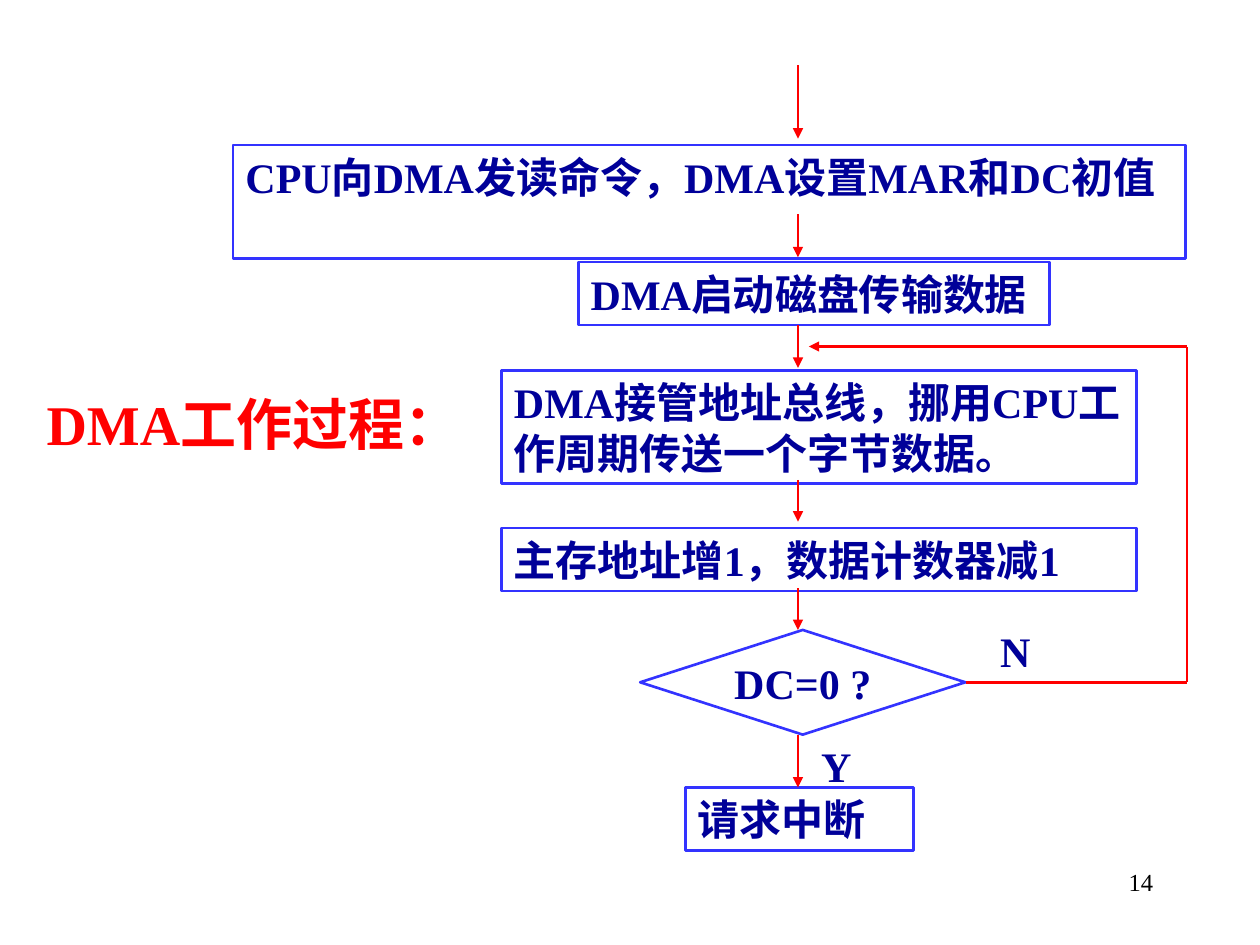
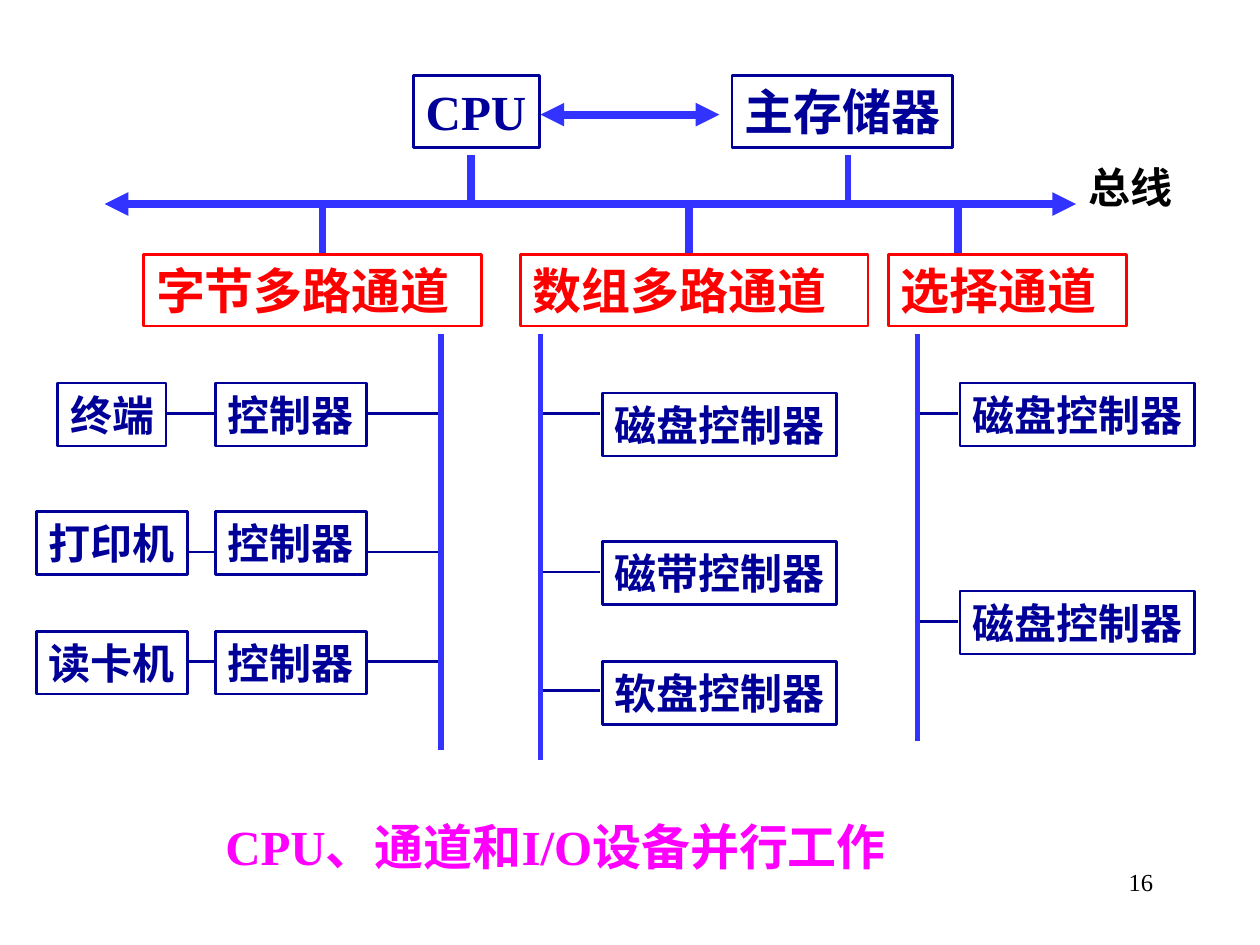
from dataclasses import dataclass

from lxml import etree
from pptx import Presentation
from pptx.dml.color import RGBColor
from pptx.enum.shapes import MSO_CONNECTOR, MSO_SHAPE
from pptx.enum.text import MSO_ANCHOR, MSO_AUTO_SIZE, PP_ALIGN
from pptx.oxml.ns import qn
from pptx.slide import Slide
from pptx.text.text import TextFrame
from pptx.util import Pt

FONT = "Times New Roman"
COLORS = {
    "white": "FFFFFF",
    "black": "000000",
    "navy": "000099",
    "blue": "3333FF",
    "red": "FF0000",
    "magenta": "FF00FF",
}
TITLE_ONLY, BLANK = 5, 6
THIN, MEDIUM, THICK = 1.5, 3, 4.5
LINE_HEIGHT = 36
LARGE_HEIGHT = 41


@dataclass
class Label:
    """Text with its place in points; an outline turns it into a filled box."""
    text: str
    left: float
    top: float
    width: float
    height: float = LINE_HEIGHT
    size: int = 24
    color: str = "navy"
    outline: str | None = None
    wrap: bool = False
    bold: bool = True
    align: PP_ALIGN = PP_ALIGN.LEFT
    preset: MSO_SHAPE = MSO_SHAPE.RECTANGLE


@dataclass
class Line:
    x1: float
    y1: float
    x2: float
    y2: float
    color: str = "red"
    width: float = THIN
    ends: tuple[str, ...] = ()


@dataclass
class Channel:
    """A channel box, its drop from the bus and the rail below it."""
    name: str
    left: float
    width: float
    drop_x: float
    rail_x: float
    rail_bottom: float


@dataclass
class Unit:
    """A box in a row, with the height of the wire that reaches it."""
    name: str
    top: float
    wire_y: float


def rgb(name: str) -> RGBColor:
    return RGBColor.from_string(COLORS[name])


def format_text(frame: TextFrame, label: Label) -> None:
    frame.text = label.text
    frame.word_wrap = label.wrap
    frame.auto_size = MSO_AUTO_SIZE.NONE
    frame.vertical_anchor = MSO_ANCHOR.TOP
    para = frame.paragraphs[0]
    para.alignment = label.align
    for span in para.runs:
        span.font.name = FONT
        span.font.size = Pt(label.size)
        span.font.bold = label.bold
        span.font.color.rgb = rgb(label.color)


def add_label(page: Slide, label: Label) -> None:
    place = [Pt(v) for v in (label.left, label.top, label.width, label.height)]
    if label.outline:
        box = page.shapes.add_shape(label.preset, *place)
        box.shadow.inherit = False
        box.fill.solid()
        box.fill.fore_color.rgb = rgb("white")
        box.line.color.rgb = rgb(label.outline)
        box.line.width = Pt(THIN)
    else:
        box = page.shapes.add_textbox(*place)
    format_text(box.text_frame, label)
    if label.preset == MSO_SHAPE.FLOWCHART_DECISION:
        box.text_frame.vertical_anchor = MSO_ANCHOR.MIDDLE


def add_line(page: Slide, line: Line) -> None:
    connector = page.shapes.add_connector(
        MSO_CONNECTOR.STRAIGHT, Pt(line.x1), Pt(line.y1), Pt(line.x2), Pt(line.y2))
    connector.line.color.rgb = rgb(line.color)
    connector.line.width = Pt(line.width)
    outline = connector.line._get_or_add_ln()
    for end in line.ends:
        etree.SubElement(outline, qn(f"a:{end}"), type="triangle")
    etree.SubElement(connector._element.spPr, qn("a:effectLst"))


def add_page_number(page: Slide, number: int) -> None:
    add_label(page, Label(str(number), 516.2, 491.8, 149.8, size=14, color="black",
                          bold=False, wrap=True, align=PP_ALIGN.RIGHT))


def build_dma_flow(deck: Presentation) -> None:
    page = deck.slides.add_slide(deck.slide_layouts[TITLE_ONLY])
    heading = Label("DMA工作过程：", 19.4, 218.9, 277.9, 46, size=32, color="red", wrap=True)
    title = page.shapes.title
    title.left, title.top = Pt(heading.left), Pt(heading.top)
    title.width, title.height = Pt(heading.width), Pt(heading.height)
    format_text(title.text_frame, heading)
    add_page_number(page, 14)

    two_lines = 64.8
    steps = [
        Label("CPU向DMA发读命令，DMA设置MAR和DC初值", 133.2, 82.8, 544.3, two_lines, wrap=True),
        Label("DMA启动磁盘传输数据", 330.5, 149.8, 269.3),
        Label("DMA接管地址总线，挪用CPU工作周期传送一个字节数据。",
              286.6, 211.7, 362.9, two_lines, wrap=True),
        Label("主存地址增1，数据计数器减1", 286.6, 301.7, 362.9, wrap=True),
        Label("DC=0 ?", 365.8, 360, 185.8, 59.8, align=PP_ALIGN.CENTER,
              preset=MSO_SHAPE.FLOWCHART_DECISION),
        Label("请求中断", 391.7, 450, 130.3, wrap=True),
    ]
    for step in steps:
        step.outline = "blue"
        add_label(page, step)

    flow_x = 456
    arrow_spans = [(37.4, 79.2), (122.4, 147), (185.8, 210.2),
                   (274.3, 298.1), (336.2, 360), (419.8, 450)]
    for start, end in arrow_spans:
        add_line(page, Line(flow_x, start, flow_x, end, ends=("tailEnd",)))

    loop_x, loop_top, loop_bottom = 678.2, 198, 390
    add_line(page, Line(loop_x, loop_top, 462.2, loop_top, ends=("tailEnd",)))
    add_line(page, Line(552, loop_bottom, loop_x, loop_bottom))
    add_line(page, Line(loop_x, loop_bottom, loop_x, loop_top))
    add_label(page, Label("N", 564.5, 354.2, 31.7))
    add_label(page, Label("Y", 462.2, 419.8, 31.7))


def build_channels(deck: Presentation) -> None:
    page = deck.slides.add_slide(deck.slide_layouts[BLANK])
    add_page_number(page, 16)

    bus_y, channel_top, rail_top = 116.6, 145.4, 190.8
    both_ends = ("headEnd", "tailEnd")
    byte_channel = Channel("字节多路通道", 82.1, 193, 184.3, 252, 428.4)
    array_channel = Channel("数组多路通道", 297.4, 198.7, 393.8, 308.9, 434.2)
    selector_channel = Channel("选择通道", 507.6, 136.1, 547.2, 524.2, 423.4)
    channels = [byte_channel, array_channel, selector_channel]

    devices = [Unit("终端", 218.9, 236.2), Unit("打印机", 292.3, 315.4),
               Unit("读卡机", 360.7, 378)]
    disk, tape, floppy = "磁盘控制器", "磁带控制器", "软盘控制器"
    array_units = [Unit(disk, 224.6, 236.2), Unit(tape, 309.6, 326.9), Unit(floppy, 378, 394.6)]
    selector_units = [Unit(disk, 218.9, 236.2), Unit(disk, 337.7, 355)]
    controller_columns = [(array_channel, 344.2, array_units),
                          (selector_channel, 548.6, selector_units)]

    for device in devices:
        add_line(page, Line(88, device.wire_y, byte_channel.rail_x, device.wire_y, "navy"))
    for channel, left, units in controller_columns:
        for unit in units:
            add_line(page, Line(channel.rail_x, unit.wire_y, left - 1.4, unit.wire_y, "navy"))

    blue_lines = [
        Line(308.9, 65.5, 411.1, 65.5, width=THICK, ends=both_ends),
        Line(59.8, bus_y, 614.9, bus_y, width=THICK, ends=both_ends),
        Line(269.3, 88.6, 269.3, bus_y, width=THICK),
        Line(484.6, 88.6, 484.6, bus_y, width=MEDIUM),
    ]
    for channel in channels:
        blue_lines += [
            Line(channel.drop_x, bus_y, channel.drop_x, channel_top, width=THICK),
            Line(channel.rail_x, rail_top, channel.rail_x, channel.rail_bottom, width=MEDIUM),
        ]
    for line in blue_lines:
        line.color = "blue"
        add_line(page, line)

    boxes = [
        Label("CPU", 236.2, 43.2, 72, LARGE_HEIGHT, 28),
        Label("主存储器", 418.3, 43.2, 126, LARGE_HEIGHT, 28),
    ]
    device_center = 64
    for device in devices:
        width = 86.4 if len(device.name) == 3 else 61.9
        boxes.append(Label(device.name, device_center - width / 2, device.top, width))
        boxes.append(Label("控制器", 123.1, device.top, 86.4))
    for _, left, units in controller_columns:
        boxes += [Label(unit.name, left, unit.top, 133.9) for unit in units]
    boxes += [Label(channel.name, channel.left, channel_top, channel.width, LARGE_HEIGHT,
                    28, "red", wrap=True) for channel in channels]
    for box in boxes:
        box.outline = box.color
        add_label(page, box)

    add_label(page, Label("CPU、通道和I/O设备并行工作", 121.7, 463, 453.6, LARGE_HEIGHT,
                          28, "magenta", wrap=True))
    add_label(page, Label("总线", 614.9, 88.6, 79.2, color="black", wrap=True))


def main() -> None:
    deck = Presentation()
    deck.slide_width, deck.slide_height = Pt(720), Pt(540)
    build_dma_flow(deck)
    build_channels(deck)
    deck.save("out.pptx")


if __name__ == "__main__":
    main()
